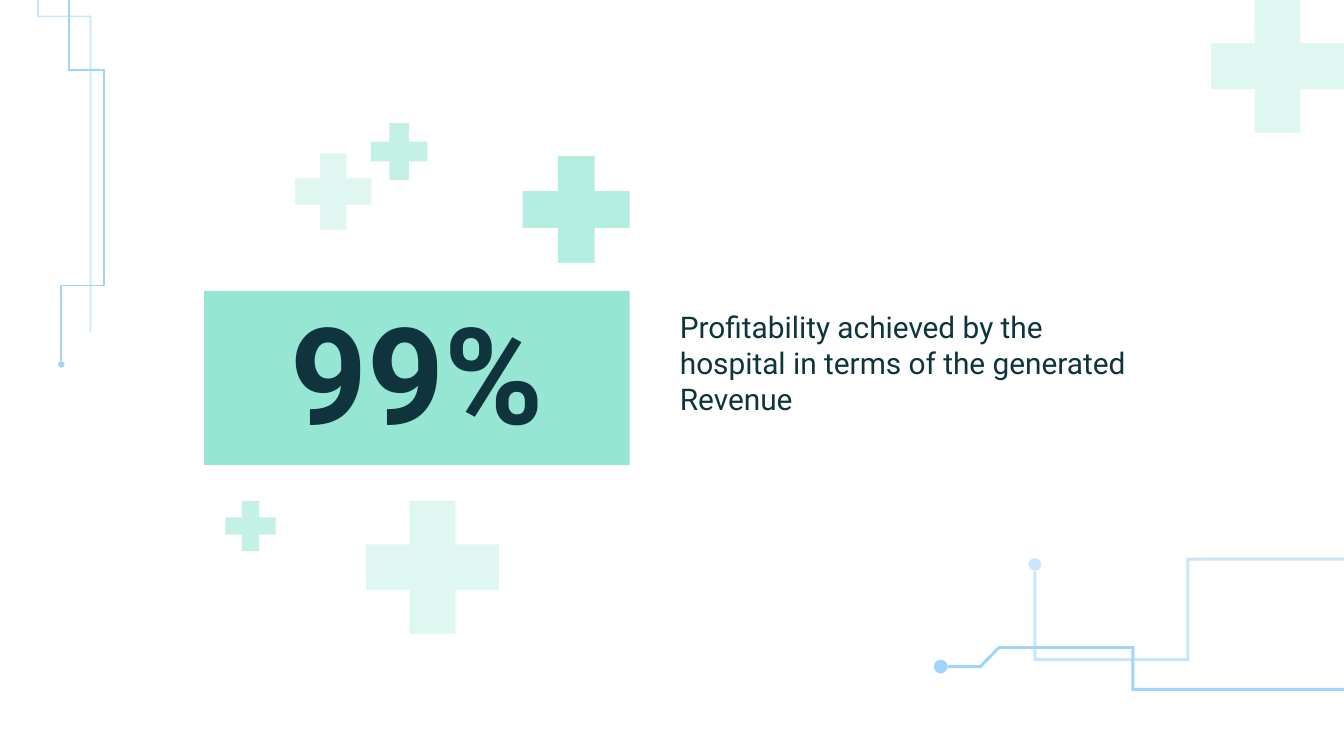
from lxml import etree
from pptx import Presentation
from pptx import util as u
from pptx.dml.color import RGBColor
from pptx.enum import shapes, text
from pptx.oxml.ns import qn

Cm = u.Cm
MINT, SKY, NAVY = "95E7D3", "A0D4FC", "0F343D"


def paint(fill, color, alpha=100):
    fill.solid()
    fill.fore_color.rgb = RGBColor.from_string(color)
    if alpha < 100:
        clr = fill._xPr.find(".//" + qn("a:srgbClr"))
        etree.SubElement(clr, qn("a:alpha"), val=str(alpha * 1000))


def write(sp, words, size, bold=False, align=text.PP_ALIGN.LEFT,
          anchor=text.MSO_ANCHOR.TOP):
    tf = sp.text_frame
    tf.word_wrap = True
    tf.vertical_anchor = anchor
    tf.margin_left = tf.margin_right = tf.margin_top = tf.margin_bottom = Cm(0.25)
    p = tf.paragraphs[0]
    p.alignment = align
    r = p.add_run()
    r.text = words
    r.font.name = "Roboto"
    r.font.size = u.Pt(size)
    r.font.bold = bold
    paint(r.font.fill, NAVY)


prs = Presentation()
prs.slide_width, prs.slide_height = Cm(25.4), Cm(14.29)
s = prs.slides.add_slide(prs.slide_layouts[6])

traces = [
    ([(19.56, 10.8), (19.56, 12.47), (22.45, 12.47), (22.45, 10.57), (25.4, 10.57)],
     1.6, 57, (19.56, 10.67, 0.12)),
    ([(17.91, 12.6), (18.53, 12.6), (18.88, 12.24), (21.41, 12.24),
      (21.41, 13.03), (25.4, 13.03)], 1.6, 100, (17.78, 12.6, 0.13)),
    ([(0.72, 0), (0.72, 0.31), (1.71, 0.31), (1.71, 6.27)], 0.9, 57, None),
    ([(1.31, 0), (1.31, 1.33), (1.97, 1.33), (1.97, 5.4), (1.16, 5.4), (1.16, 6.83)],
     0.9, 100, (1.16, 6.89, 0.06)),
]
for points, width, alpha, dot in traces:
    points = [(Cm(x), Cm(y)) for x, y in points]
    fb = s.shapes.build_freeform(*points[0], scale=1.0)
    fb.add_line_segments(points[1:], close=False)
    sp = fb.convert_to_shape()
    sp.shadow.inherit = False
    sp.fill.background()
    sp.line.width = u.Pt(width)
    paint(sp.line.fill, SKY, alpha)
    etree.SubElement(sp.line._get_or_add_ln(), qn("a:miter"), lim="800000")
    if dot:
        x, y, radius = dot
        sp = s.shapes.add_shape(shapes.MSO_SHAPE.OVAL, Cm(x - radius), Cm(y - radius),
                                Cm(2 * radius), Cm(2 * radius))
        sp.shadow.inherit = False
        sp.line.fill.background()
        paint(sp.fill, SKY, alpha)

pluses = [
    (22.89, 0, 2.51, 31),
    (9.88, 2.95, 2.02, 70),
    (5.58, 2.9, 1.44, 31),
    (7.01, 2.33, 1.07, 56),
    (4.26, 9.47, 0.95, 55),
    (6.92, 9.47, 2.51, 31),
]
for x, y, size, alpha in pluses:
    sp = s.shapes.add_shape(shapes.MSO_SHAPE.CROSS, Cm(x), Cm(y), Cm(size), Cm(size))
    sp.adjustments[0] = 0.328
    sp.shadow.inherit = False
    sp.line.fill.background()
    paint(sp.fill, MINT, alpha)

sp = s.shapes.add_textbox(Cm(12.6), Cm(5.59), Cm(8.94), Cm(3.2))
write(sp, "Profitability achieved by the hospital in terms of the generated Revenue", 16)

sp = s.shapes.add_shape(shapes.MSO_SHAPE.RECTANGLE, Cm(3.86), Cm(5.5), Cm(8.04), Cm(3.29))
sp.shadow.inherit = False
sp.line.fill.background()
paint(sp.fill, MINT)
write(sp, "99%", 72, bold=True, align=text.PP_ALIGN.CENTER, anchor=text.MSO_ANCHOR.BOTTOM)

prs.save("out.pptx")
